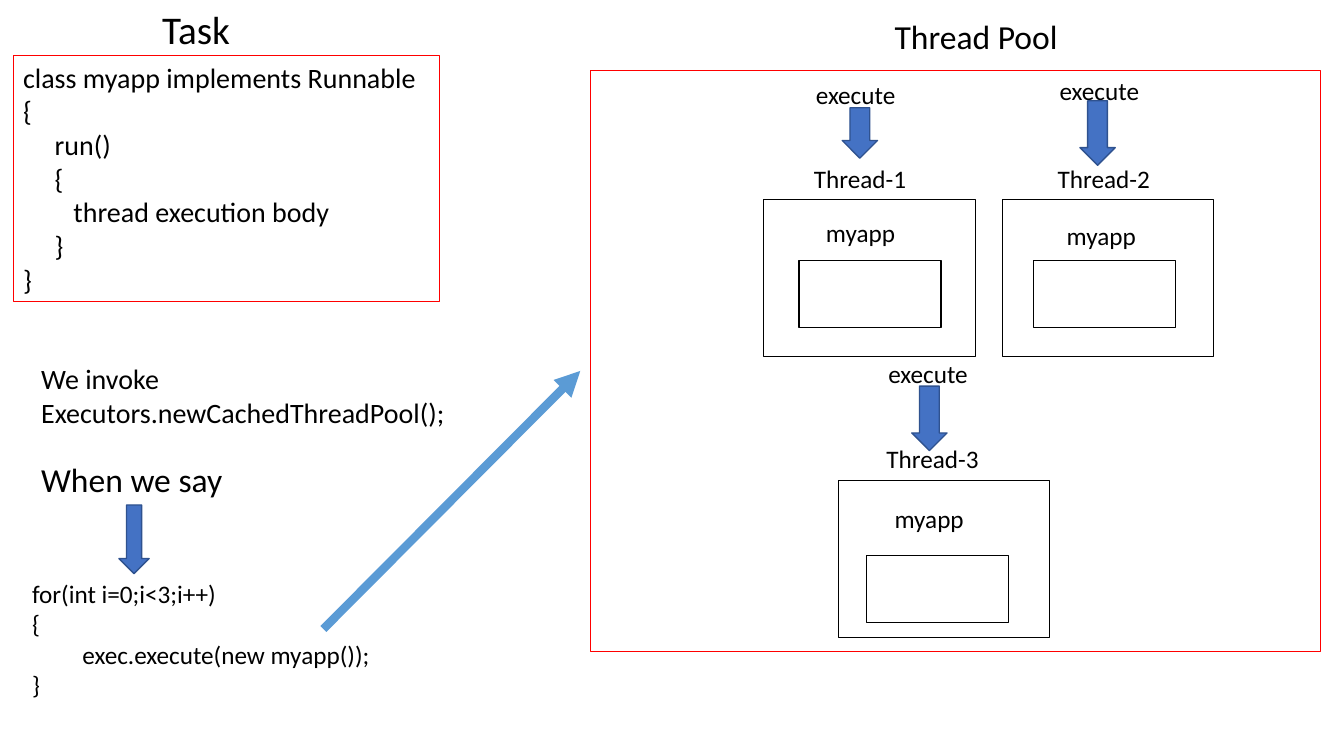
from dataclasses import dataclass
from typing import NamedTuple, Optional

from lxml.etree import SubElement
from pptx import Presentation
from pptx.dml.color import RGBColor
from pptx.enum.shapes import MSO_CONNECTOR, MSO_SHAPE
from pptx.oxml.ns import qn
from pptx.slide import Slide
from pptx.util import Pt


@dataclass(frozen=True)
class Theme:
    font: str = "Calibri"
    ink: RGBColor = RGBColor(0, 0, 0)
    frame: RGBColor = RGBColor(0xFF, 0, 0)
    arrow_fill: RGBColor = RGBColor(0x44, 0x72, 0xC4)
    arrow_line: RGBColor = RGBColor(0x2F, 0x52, 0x8F)
    link: RGBColor = RGBColor(0x5B, 0x9B, 0xD5)
    title: float = 28
    heading: float = 24
    body: float = 20
    label: float = 18
    outline: float = 0.75
    link_width: float = 6


class Point(NamedTuple):
    x: float
    y: float


class Area(NamedTuple):
    x: float
    y: float
    width: float
    height: float


class Size(NamedTuple):
    width: float
    height: float


@dataclass(frozen=True)
class Note:
    lines: tuple[str, ...]
    area: Area
    size: float
    border: Optional[RGBColor] = None


@dataclass(frozen=True)
class PoolThread:
    name: str
    box: Point
    task_box: Point
    task_label: Point
    name_label: Point
    execute_label: Point
    arrow: Area


THEME = Theme()
THREAD_BOX = Size(151.2, 112.3)
TASK_BOX = Size(101.5, 48.2)
LABEL = Size(88, 28.8)
POOL = Area(421.9, 50.4, 522, 414.7)
LINK_START, LINK_END = Point(231.1, 449.3), Point(414.7, 265)
SAY_ARROW = Area(85, 360.7, 21.6, 49)

NOTES = [
    Note(("Task",), Area(108.7, 0, 114.5, 41), THEME.title),
    Note(
        ("class myapp implements Runnable", "{", "     run()", "     {",
         "\tthread execution body", "     }", "}"),
        Area(9.4, 39.6, 304.6, 175.7), THEME.body, THEME.frame,
    ),
    Note(("We invoke", "Executors.newCachedThreadPool();"),
         Area(22.3, 254.9, 304.6, 79.2), THEME.body),
    Note(("When we say",), Area(22.3, 324, 149, 36), THEME.heading),
    Note(("for(int i=0;i<3;i++)", "{", "\texec.execute(new myapp());", "}"),
         Area(15.8, 409.7, 317.5, 93.6), THEME.label),
    Note(("Thread Pool",), Area(632.2, 7.9, 157, 36), THEME.heading),
]

THREADS = [
    PoolThread("Thread-1", Point(545.8, 142.6), Point(571, 185.8), Point(583.2, 151.9),
               Point(574.6, 113), Point(576, 53.3), Area(601.9, 77, 25.2, 36)),
    PoolThread("Thread-2", Point(716.4, 142.6), Point(738.7, 185.8), Point(755.3, 154.1),
               Point(748.8, 113), Point(750.2, 50.4), Area(771.8, 72, 25.2, 46.1)),
    PoolThread("Thread-3", Point(599, 343.4), Point(619.2, 396.7), Point(632.2, 355.7),
               Point(626.4, 313.2), Point(627.8, 252.7), Area(651.6, 275.8, 25.2, 46.1)),
]


def add_note(slide: Slide, note: Note) -> None:
    box = slide.shapes.add_textbox(*map(Pt, note.area))
    if note.border is not None:
        box.line.color.rgb = note.border
        box.line.width = Pt(THEME.outline)
    frame = box.text_frame
    frame.word_wrap = True
    for index, line in enumerate(note.lines):
        paragraph = frame.add_paragraph() if index else frame.paragraphs[0]
        run = paragraph.add_run()
        run.text = line
        run.font.name = THEME.font
        run.font.size = Pt(note.size)
        run.font.color.rgb = THEME.ink


def add_label(slide: Slide, text: str, corner: Point) -> None:
    add_note(slide, Note((text,), Area(*corner, *LABEL), THEME.label))


def add_frame(slide: Slide, area: Area, color: RGBColor) -> None:
    frame = slide.shapes.add_shape(MSO_SHAPE.RECTANGLE, *map(Pt, area))
    frame.shadow.inherit = False
    frame.fill.background()
    frame.line.color.rgb = color
    frame.line.width = Pt(THEME.outline)


def add_down_arrow(slide: Slide, area: Area, shaft: float) -> None:
    arrow = slide.shapes.add_shape(MSO_SHAPE.DOWN_ARROW, *map(Pt, area))
    arrow.adjustments[0] = shaft
    arrow.adjustments[1] = 0.5
    arrow.shadow.inherit = False
    arrow.fill.solid()
    arrow.fill.fore_color.rgb = THEME.arrow_fill
    arrow.line.color.rgb = THEME.arrow_line
    arrow.line.width = Pt(1)


def add_link(slide: Slide, start: Point, end: Point) -> None:
    link = slide.shapes.add_connector(MSO_CONNECTOR.STRAIGHT, *map(Pt, start + end))
    link.line.color.rgb = THEME.link
    link.line.width = Pt(THEME.link_width)
    SubElement(link.line._get_or_add_ln(), qn("a:tailEnd"), type="triangle")
    SubElement(link._element.spPr, qn("a:effectLst"))


def add_thread(slide: Slide, thread: PoolThread) -> None:
    add_frame(slide, Area(*thread.box, *THREAD_BOX), THEME.ink)
    add_frame(slide, Area(*thread.task_box, *TASK_BOX), THEME.ink)
    add_label(slide, "myapp", thread.task_label)
    add_label(slide, thread.name, thread.name_label)
    add_label(slide, "execute", thread.execute_label)
    add_down_arrow(slide, thread.arrow, shaft=0.56)


def main() -> None:
    deck = Presentation()
    deck.slide_width, deck.slide_height = Pt(960.48), Pt(540)
    slide = deck.slides.add_slide(deck.slide_layouts[6])

    # Task code, steps and headings
    for note in NOTES:
        add_note(slide, note)
    add_down_arrow(slide, SAY_ARROW, shaft=0.5)

    # Thread pool
    add_frame(slide, POOL, THEME.frame)
    for thread in THREADS:
        add_thread(slide, thread)

    # Link from the loop to the pool
    add_link(slide, LINK_START, LINK_END)

    deck.save("out.pptx")


if __name__ == "__main__":
    main()
